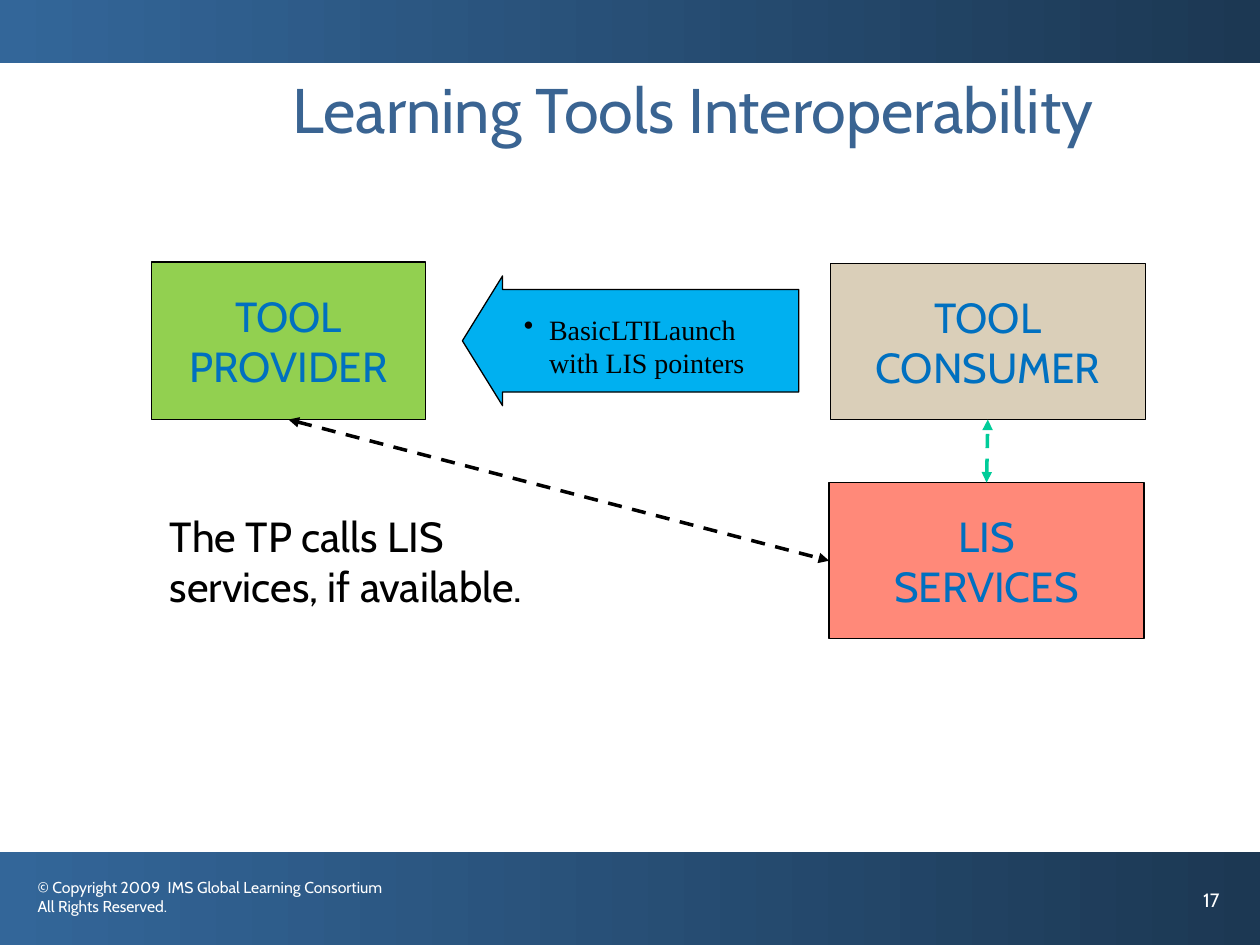
from dataclasses import dataclass
from typing import Any, NamedTuple

from lxml.etree import SubElement
from pptx import Presentation
from pptx.dml.color import RGBColor as Rgb
from pptx.enum.dml import MSO_LINE_DASH_STYLE as Dash
from pptx.enum.shapes import MSO_CONNECTOR as Connector, MSO_SHAPE as Preset
from pptx.enum.text import MSO_ANCHOR as Anchor, MSO_AUTO_SIZE as AutoSize, PP_ALIGN as Align
from pptx.oxml.ns import qn
from pptx.util import Inches, Pt


@dataclass(frozen=True)
class Theme:
    sans: str = "Cabin"
    serif: str = "Times New Roman"
    band_light: str = "336699"
    band_dark: str = "1C3853"
    title: str = "3A6492"
    label: str = "0070C0"
    ink: str = "000000"
    paper: str = "FFFFFF"
    provider: str = "92D050"
    consumer: str = "DACFB9"
    launch: str = "00B0F0"
    services: str = "FF8979"
    internal_link: str = "00CC99"
    title_size: int = 36
    label_size: int = 24
    launch_size: int = 16
    number_size: int = 11
    copyright_size: int = 9
    outline: float = 0.75
    link: int = 2


class Area(NamedTuple):
    col: float
    row: float
    cols: float
    rows: float


class Style(NamedTuple):
    size: int
    color: str
    font: str
    align: Align = Align.LEFT


class Block(NamedTuple):
    area: Area
    fill: str
    lines: tuple[str, ...] = ()
    preset: Preset = Preset.RECTANGLE


class Note(NamedTuple):
    area: Area
    lines: tuple[str, ...]
    style: Style


class Link(NamedTuple):
    start: str
    start_site: int
    end: str
    end_site: int
    color: str


THEME = Theme()
WIDTH, HEIGHT = Inches(10), Inches(7.5)
COLUMNS, ROWS = 40, 30
TOP, LEFT, BOTTOM = 0, 1, 2

TITLE_AREA = Area(5, 2.2, 34, 5)
TITLE_STYLE = Style(THEME.title_size, THEME.title, THEME.sans, Align.CENTER)
LABEL_STYLE = Style(THEME.label_size, THEME.label, THEME.sans, Align.CENTER)

BANDS = (Area(0, 27.04, COLUMNS, 2.96), Area(0, 0, COLUMNS, 2))

BLOCKS = {
    "provider": Block(Area(4.8, 8.32, 8.72, 5), THEME.provider, ("TOOL PROVIDER",)),
    "consumer": Block(Area(26.36, 8.36, 10, 4.96), THEME.consumer, ("TOOL CONSUMER",)),
    "launch": Block(Area(14.68, 8.76, 10.68, 4.12), THEME.launch, preset=Preset.LEFT_ARROW),
    "services": Block(Area(26.32, 15.32, 10, 4.96), THEME.services, ("LIS", "SERVICES")),
}

LINKS = (
    Link("provider", BOTTOM, "services", LEFT, THEME.ink),
    Link("services", TOP, "consumer", BOTTOM, THEME.internal_link),
)

LAUNCH_NOTE = Note(
    Area(16.24, 9.72, 8.12, 3.6),
    ("BasicLTILaunch with LIS pointers",),
    Style(THEME.launch_size, THEME.ink, THEME.serif),
)

NOTES = (
    Note(
        Area(0.8, 27.68, 12.52, 2),
        ("© Copyright 2009  IMS Global Learning Consortium", "All Rights Reserved."),
        Style(THEME.copyright_size, THEME.paper, THEME.sans),
    ),
    Note(Area(37.8, 28, 2.2, 2), ("17",), Style(THEME.number_size, THEME.paper, THEME.sans)),
    Note(
        Area(5, 16, 15.68, 3.6),
        ("The TP calls LIS", "services, if available."),
        Style(THEME.label_size, THEME.ink, THEME.sans),
    ),
)


def apply(target: Any, values: dict[str, Any]) -> None:
    for name, value in values.items():
        setattr(target, name, value)


def place(area: Area) -> tuple[int, int, int, int]:
    cell_width, cell_height = WIDTH / COLUMNS, HEIGHT / ROWS
    return (
        round(area.col * cell_width),
        round(area.row * cell_height),
        round(area.cols * cell_width),
        round(area.rows * cell_height),
    )


def write(frame: Any, lines: tuple[str, ...], style: Style, anchor: Anchor = Anchor.TOP) -> None:
    apply(frame, {"word_wrap": True, "auto_size": AutoSize.NONE, "vertical_anchor": anchor})
    frame.text = "\n".join(lines)
    for paragraph in frame.paragraphs:
        paragraph.alignment = style.align
        for run in paragraph.runs:
            apply(run.font, {"size": Pt(style.size), "name": style.font})
            run.font.color.rgb = Rgb.from_string(style.color)


def draw_band(shapes: Any, area: Area) -> None:
    band = shapes.add_shape(Preset.RECTANGLE, *place(area))
    band.shadow.inherit = False
    band.line.fill.background()
    band.fill.gradient()
    band.fill.gradient_angle = 0
    for stop, color in zip(band.fill.gradient_stops, (THEME.band_light, THEME.band_dark)):
        apply(stop.color, {"rgb": Rgb.from_string(color)})


def draw_block(shapes: Any, block: Block) -> Any:
    shape = shapes.add_shape(block.preset, *place(block.area))
    shape.shadow.inherit = False
    shape.fill.solid()
    shape.fill.fore_color.rgb = Rgb.from_string(block.fill)
    shape.line.color.rgb = Rgb.from_string(THEME.ink)
    shape.line.width = Pt(THEME.outline)
    if block.preset == Preset.LEFT_ARROW:
        shape.adjustments[0], shape.adjustments[1] = 0.79, 0.31
    if block.lines:
        write(shape.text_frame, block.lines, LABEL_STYLE, Anchor.MIDDLE)
    return shape


def draw_note(shapes: Any, note: Note) -> Any:
    box = shapes.add_textbox(*place(note.area))
    write(box.text_frame, note.lines, note.style)
    return box


def add_bullet(paragraph: Any, color: str) -> None:
    properties = paragraph._p.get_or_add_pPr()
    properties.set("marL", str(Inches(0.2)))
    properties.set("indent", str(Inches(-0.2)))
    SubElement(SubElement(properties, qn("a:buClr")), qn("a:srgbClr")).set("val", color)
    SubElement(properties, qn("a:buChar")).set("char", "•")


def draw_link(shapes: Any, link: Link, blocks: dict[str, Any]) -> None:
    connector = shapes.add_connector(Connector.STRAIGHT, 0, 0, 0, 0)
    connector.begin_connect(blocks[link.start], link.start_site)
    connector.end_connect(blocks[link.end], link.end_site)
    connector.line.color.rgb = Rgb.from_string(link.color)
    apply(connector.line, {"width": Pt(THEME.link), "dash_style": Dash.DASH})
    for end in ("a:headEnd", "a:tailEnd"):
        SubElement(connector.line._get_or_add_ln(), qn(end)).set("type", "triangle")
    SubElement(connector._element.spPr, qn("a:effectLst"))


def main() -> None:
    deck = Presentation()
    apply(deck, {"slide_width": WIDTH, "slide_height": HEIGHT})
    slide = deck.slides.add_slide(deck.slide_layouts[5])
    shapes = slide.shapes

    title = shapes.title
    apply(title, dict(zip(("left", "top", "width", "height"), place(TITLE_AREA))))
    write(title.text_frame, ("Learning Tools Interoperability",), TITLE_STYLE)
    title.text_frame.paragraphs[0].line_spacing = 0.95

    for band in BANDS:
        draw_band(shapes, band)
    blocks = {name: draw_block(shapes, block) for name, block in BLOCKS.items()}
    launch_text = draw_note(shapes, LAUNCH_NOTE)
    add_bullet(launch_text.text_frame.paragraphs[0], THEME.ink)
    for link in LINKS:
        draw_link(shapes, link, blocks)
    for note in NOTES:
        draw_note(shapes, note)

    deck.save("out.pptx")


if __name__ == "__main__":
    main()
